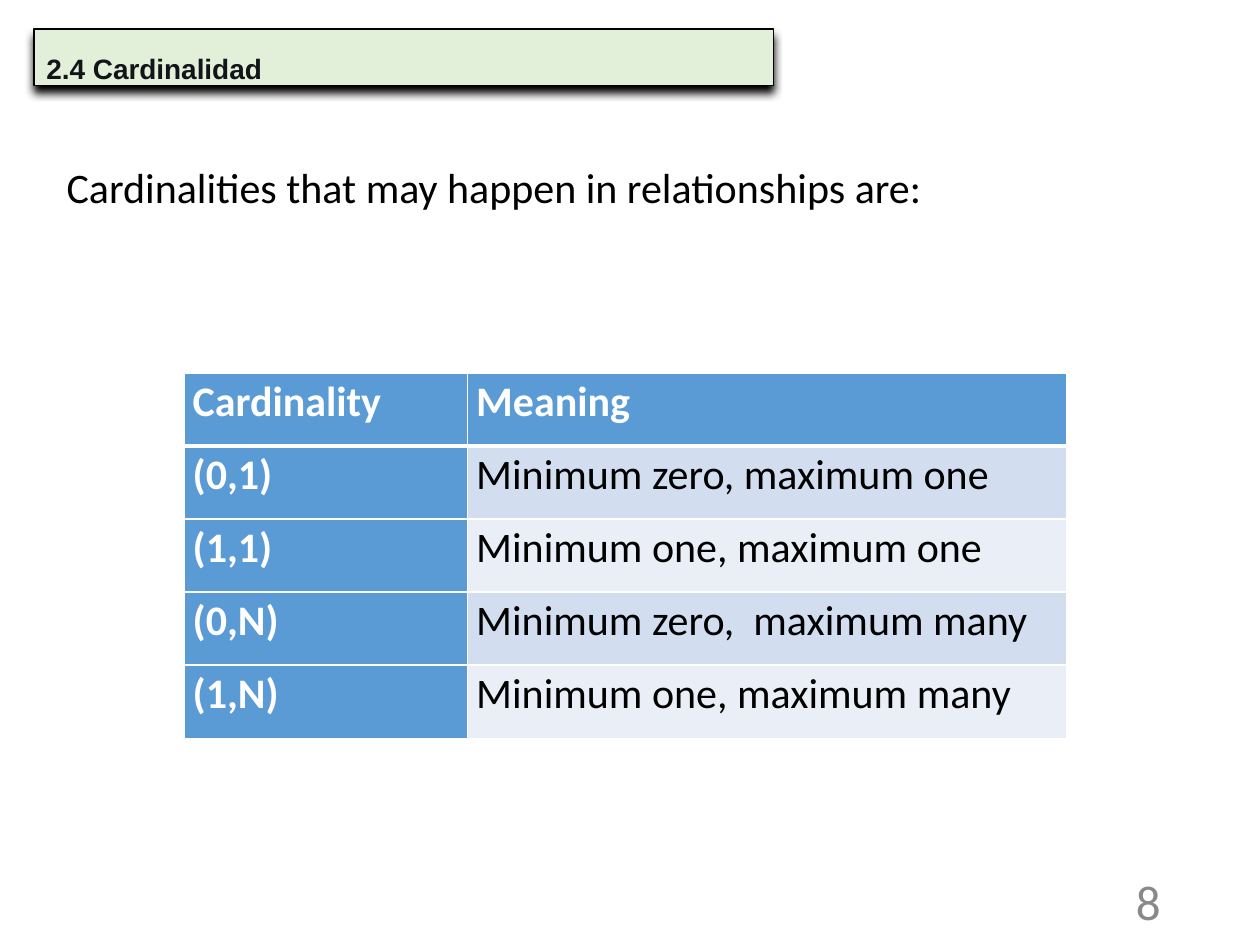
from lxml import etree
from pptx import Presentation, util as u
from pptx.dml.color import RGBColor
from pptx.enum import shapes, text
from pptx.oxml import parse_xml
from pptx.oxml.ns import nsdecls

C = {"green": "E2F0D9", "ink": "11151A", "black": "000000", "white": "FFFFFF",
     "gray": "898989", "blue": "5B9BD5", "band": "D2DEEF", "light": "EAEFF7"}
TITLE = "2.4 Cardinalidad"
INTRO = "Cardinalities that may happen in relationships are:"
NUMBER = "8"
ROWS = [("Cardinality", "Meaning"),
        ("(0,1)", "Minimum zero, maximum one"),
        ("(1,1)", "Minimum one, maximum one"),
        ("(0,N)", "Minimum zero,  maximum many"),
        ("(1,N)", "Minimum one, maximum many")]
COLS = [2.25, 4.76]
ROW_H = 0.58


def rgb(name):
    return RGBColor.from_string(C[name])


def box(*at):
    return [u.Inches(v) for v in at]


def write(tf, content, size=24, font="Calibri", color="black", bold=False,
          align=text.PP_ALIGN.LEFT, spacing=1.0, hanging=0):
    tf.word_wrap = True
    p = tf.paragraphs[0]
    p.alignment, p.line_spacing = align, spacing
    if hanging:
        pPr = p._p.get_or_add_pPr()
        pPr.set("marL", str(u.Inches(hanging)))
        pPr.set("indent", str(-u.Inches(hanging)))
    r = p.add_run()
    r.text = content
    r.font.size, r.font.name, r.font.bold = u.Pt(size), font, bold
    r.font.color.rgb = rgb(color)


def add_shadow(sp, color, blur, dist, angle):
    sp.shadow.inherit = False
    effects = sp._element.spPr.find("{*}effectLst")
    effects.append(parse_xml(
        f'<a:outerShdw {nsdecls("a")} blurRad="{u.Pt(blur)}" dist="{u.Pt(dist)}" '
        f'dir="{angle * 60000}" algn="t" rotWithShape="0">'
        f'<a:srgbClr val="{C[color]}"/></a:outerShdw>'))


def add_border(cell, side, width, color="white"):
    tcPr = cell._tc.get_or_add_tcPr()
    tcPr.append(parse_xml(
        f'<a:ln{side} {nsdecls("a")} w="{u.Pt(width)}"><a:solidFill>'
        f'<a:srgbClr val="{C[color]}"/></a:solidFill></a:ln{side}>'))


def add_title(s):
    sp = s.shapes.add_shape(shapes.MSO_SHAPE.RECTANGLE, *box(0.27, 0.23, 5.87, 0.45))
    sp.fill.solid()
    sp.fill.fore_color.rgb = rgb("green")
    sp.line.color.rgb = rgb("black")
    sp.line.width = u.Pt(0.75)
    add_shadow(sp, "black", blur=5, dist=4, angle=90)
    sp.text_frame.vertical_anchor = text.MSO_ANCHOR.TOP
    write(sp.text_frame, TITLE, size=16, font="Arial", color="ink", bold=True,
          spacing=1.5, hanging=0.5)


def add_cardinalities(s):
    at = box(1.46, 2.96, sum(COLS), ROW_H * len(ROWS))
    table = s.shapes.add_table(len(ROWS), len(COLS), *at).table
    table.horz_banding = False
    for col, width in zip(table.columns, COLS):
        col.width = u.Inches(width)
    for i, row in enumerate(ROWS):
        table.rows[i].height = u.Inches(ROW_H)
        for j, content in enumerate(row):
            cell = table.cell(i, j)
            head = i == 0 or j == 0
            cell.margin_left = cell.margin_right = u.Inches(0.07)
            cell.margin_top = cell.margin_bottom = 0
            for side, width in (("L", 1), ("R", 1), ("T", 3 if i == 1 else 1),
                                ("B", 3 if i == 0 else 1)):
                add_border(cell, side, width)
            cell.fill.solid()
            cell.fill.fore_color.rgb = rgb("blue" if head else "band" if i % 2 else "light")
            write(cell.text_frame, content, color="white" if head else "black",
                  bold=head, align=text.PP_ALIGN.JUSTIFY, spacing=1.07)


def main():
    prs = Presentation()
    prs.slide_width, prs.slide_height = box(10, 7.5)
    s = prs.slides.add_slide(prs.slide_layouts[6])
    add_title(s)

    number = s.shapes.add_textbox(*box(7.06, 6.95, 2.25, 0.4)).text_frame
    number.vertical_anchor = text.MSO_ANCHOR.MIDDLE
    write(number, NUMBER, size=28, color="gray", align=text.PP_ALIGN.RIGHT)

    intro = s.shapes.add_textbox(*box(0.43, 0.52, 8.74, 1.72)).text_frame
    intro.margin_top = u.Inches(0.76)
    write(intro, INTRO)

    add_cardinalities(s)
    prs.save("out.pptx")


if __name__ == "__main__":
    main()
